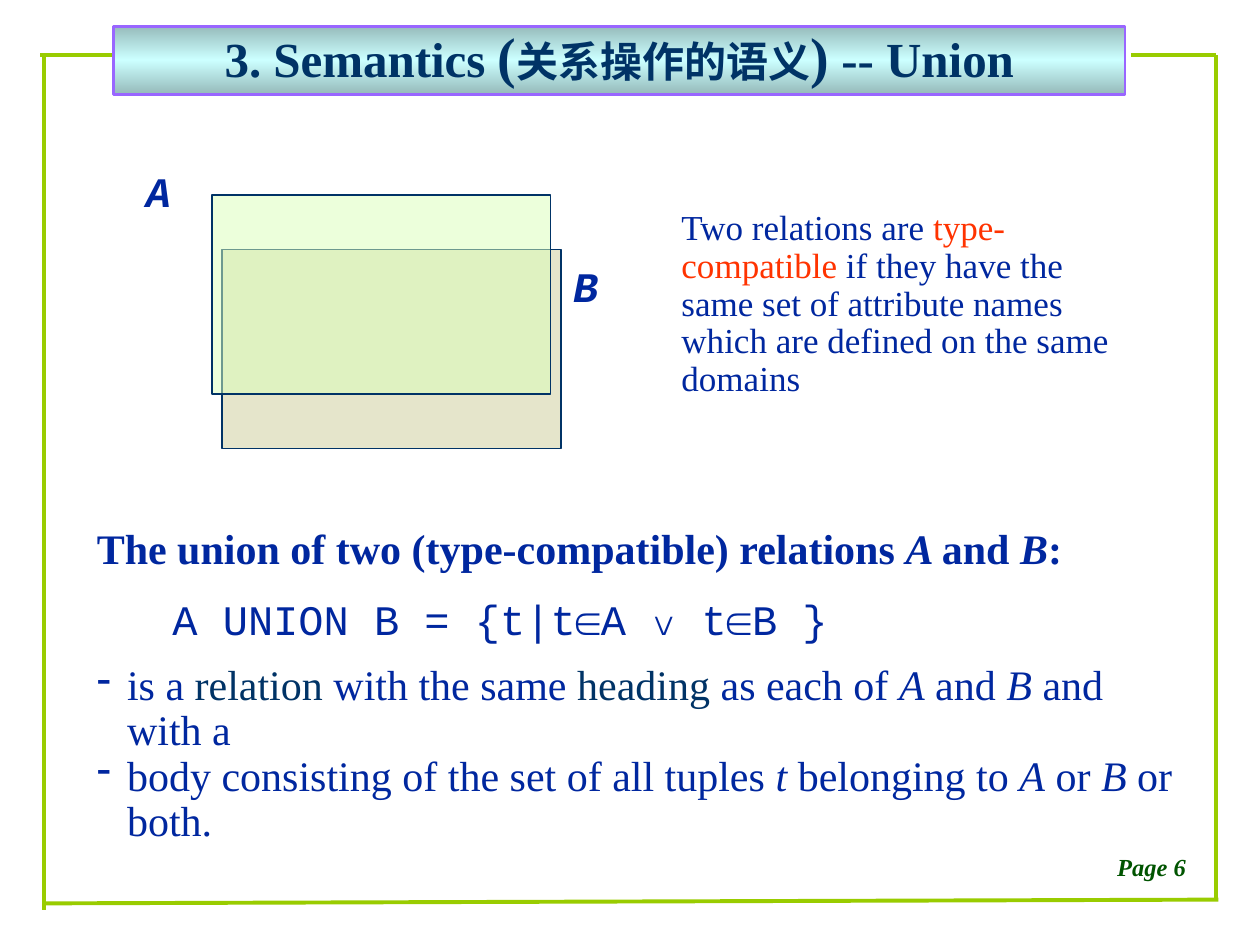
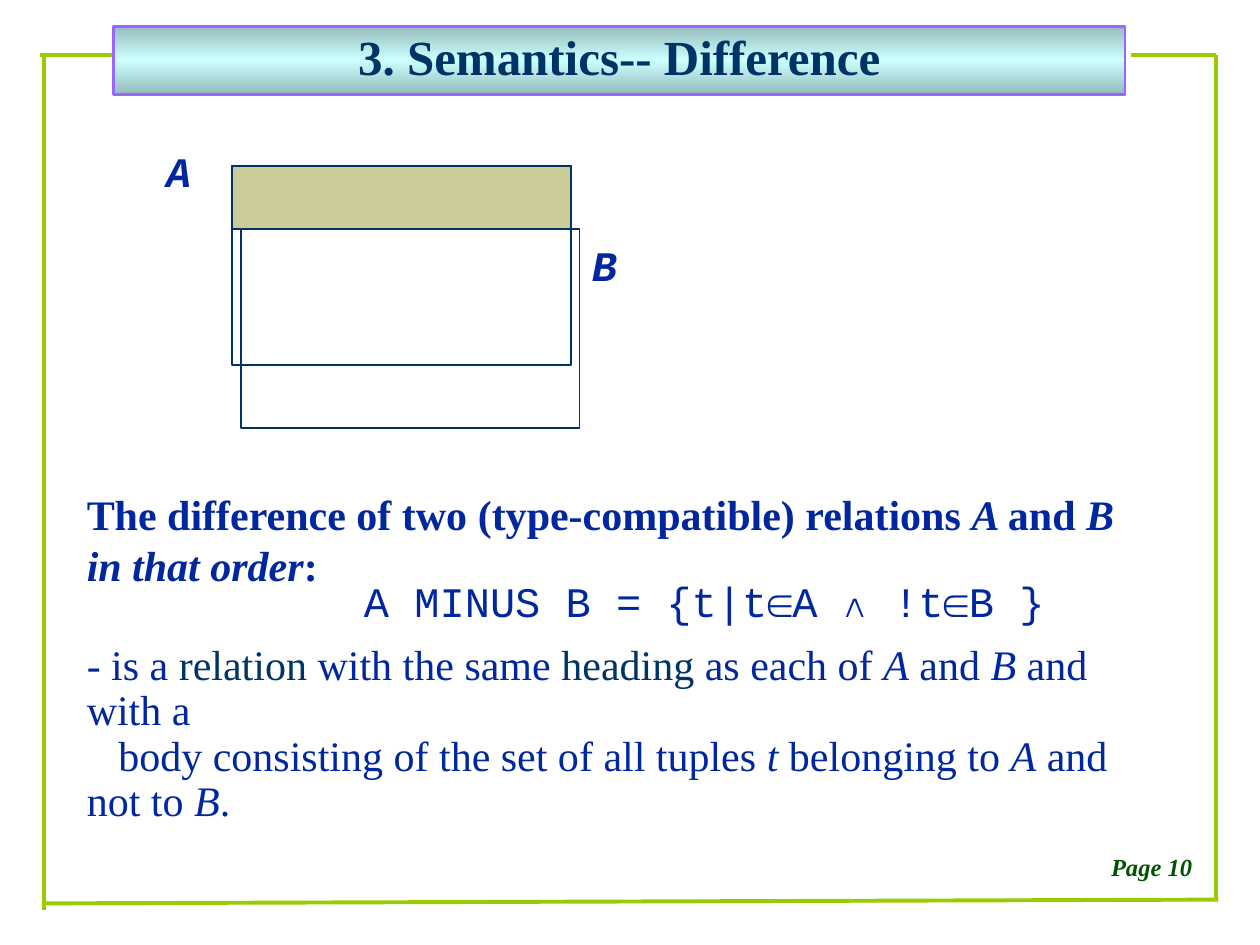
from copy import deepcopy

from lxml import etree
from pptx import Presentation
from pptx import util as u
from pptx.dml.color import RGBColor
from pptx.enum import shapes, text
from pptx.oxml.ns import qn

NAVY, BLUE, RED, PAGE_GREEN = "003366", "00279F", "FF3300", "005400"
FRAME_GREEN, VIOLET, KHAKI = "99CC00", "9966FF", "CCCC99"
PALE_GREEN, WHITE = "DBFFB8", "FFFFFF"
TITLE_GRADIENT = [(0, "96BBBB"), (0.5, "CCFFFF"), (1, "96BBBB")]
SERIF, MONO = "Times New Roman", "Courier New"

FRAME_LINES = [
    (0.9, 0.44, 0.32, 0.44),
    (0.35, 0.44, 0.35, 7.22),
    (0.35, 7.17, 9.67, 7.14),
    (9.65, 0.44, 9.65, 7.14),
    (9.65, 0.44, 8.98, 0.44),
]
RELATION_WIDTH, RELATION_HEIGHT = 2.69, 1.58

ITALIC = {"italic": True}
TERM = {"color": NAVY}
BODY = {"name": SERIF, "size": u.Pt(24), "color": BLUE}
HEADING = BODY | {"bold": True}
CODE = BODY | {"name": MONO}
LABEL = CODE | {"bold": True, "italic": True}
NOTE = BODY | {"size": u.Pt(20)}
TITLE = {"name": SERIF, "size": u.Pt(28), "bold": True, "color": NAVY}
BRACKET = {"size": u.Pt(32)}
PAGE = {"name": SERIF, "size": u.Pt(14), "bold": True, "italic": True, "color": PAGE_GREEN}

SAME_HEADING = [
    ("relation", TERM), (" with the same", {}), (" heading", TERM),
    (" as each of ", {}), ("A", ITALIC), (" and ", {}), ("B", ITALIC),
    (" and with a", {}),
]


def rgb(hex_color):
    return RGBColor.from_string(hex_color)


class Deck:
    """Holds the presentation, its shared style and the current slide."""

    def __init__(self):
        self.presentation = Presentation()
        self.presentation.slide_width = u.Inches(10)
        self.presentation.slide_height = u.Inches(7.5)
        self.slide = None

    def add_slide(self, title_runs, page):
        layout = self.presentation.slide_layouts[6]
        self.slide = self.presentation.slides.add_slide(layout)
        for ends in FRAME_LINES:
            self.line(*ends)
        self.text_box(8.39, 6.74, 1.5, 0.31, [dict(
            runs=[(f"Page {page}", {})], style=PAGE,
            alignment=text.PP_ALIGN.CENTER)], wrap=False)
        self.title(title_runs)

    def line(self, *ends):
        connector = self.slide.shapes.add_connector(
            shapes.MSO_CONNECTOR.STRAIGHT, *map(u.Inches, ends))
        connector.line.color.rgb = rgb(FRAME_GREEN)
        connector.line.width = u.Pt(2.25)
        etree.SubElement(connector.element.spPr, qn("a:effectLst"))

    def rectangle(self, left, top, width, height, fill=None, line=NAVY,
                  line_width=1, opacity=None):
        shape = self.slide.shapes.add_shape(
            shapes.MSO_SHAPE.RECTANGLE, *map(u.Inches, (left, top, width, height)))
        shape.shadow.inherit = False
        shape.line.color.rgb = rgb(line)
        shape.line.width = u.Pt(line_width)
        if fill:
            shape.fill.solid()
            shape.fill.fore_color.rgb = rgb(fill)
        else:
            shape.fill.background()
        if opacity:
            color = shape.element.spPr.find(qn("a:solidFill"))[0]
            etree.SubElement(color, qn("a:alpha"), val=str(opacity * 1000))
        return shape

    def relation(self, left, top, **look):
        self.rectangle(left, top, RELATION_WIDTH, RELATION_HEIGHT, **look)

    def label(self, name, left, top):
        self.text_box(left, top, 0.4, 0.46,
                      [dict(runs=[(name, {})], style=LABEL)], wrap=False)

    def title(self, runs):
        band = self.rectangle(0.9, 0.21, 8.03, 0.54, line=VIOLET, line_width=1.5)
        band.fill.gradient()
        band.fill.gradient_angle = 90
        stops = band.element.spPr.find(".//" + qn("a:gsLst"))
        stops.insert(1, deepcopy(stops[0]))
        for stop, (position, color) in zip(band.fill.gradient_stops, TITLE_GRADIENT):
            stop.position = position
            stop.color.rgb = rgb(color)
        frame = band.text_frame
        frame.word_wrap = True
        frame.vertical_anchor = text.MSO_ANCHOR.MIDDLE
        self.fill_frame(frame, [dict(runs=runs, style=TITLE, line_spacing=0.85,
                                     alignment=text.PP_ALIGN.CENTER)])

    def text_box(self, left, top, width, height, paragraphs, wrap=True):
        box = self.slide.shapes.add_textbox(
            *map(u.Inches, (left, top, width, height)))
        box.text_frame.word_wrap = wrap
        self.fill_frame(box.text_frame, paragraphs)

    def fill_frame(self, frame, paragraphs):
        for index, content in enumerate(paragraphs):
            paragraph = frame.add_paragraph() if index else frame.paragraphs[0]
            self.fill_paragraph(paragraph, **content)

    def fill_paragraph(self, paragraph, runs, style, indent=None, bullet=None,
                       **formats):
        """Indent is a pair of inches: left margin and first-line offset."""
        for name, value in ({"line_spacing": 0.9} | formats).items():
            setattr(paragraph, name, value)
        properties = paragraph._p.get_or_add_pPr()
        if indent:
            for name, inches in zip(("marL", "indent"), indent):
                properties.set(name, str(u.Inches(inches)))
        if bullet:
            color = etree.SubElement(properties, qn("a:buClr"))
            etree.SubElement(color, qn("a:srgbClr"), val=BLUE)
            etree.SubElement(properties, qn("a:buChar"), char=bullet)
        for words, changes in runs:
            run = paragraph.add_run()
            run.text = words
            for name, value in (style | changes).items():
                if name == "color":
                    run.font.color.rgb = rgb(value)
                else:
                    setattr(run.font, name, value)


def add_union(deck):
    deck.add_slide([("3. Semantics ", {}), ("(", BRACKET),
                    ("关系操作的语义", {"size": u.Pt(24)}), (")", BRACKET),
                    (" -- Union", {})], page=6)
    item = dict(style=BODY, indent=(0.24, -0.24), bullet="-")
    deck.text_box(0.67, 4.14, 8.77, 2.62, [
        dict(style=HEADING, runs=[
            ("The union of two (type-compatible) relations ", {}),
            ("A ", ITALIC), ("and ", {}), ("B", ITALIC), (":", {})]),
        dict(style=CODE, indent=(0.6, 0), space_before=u.Pt(15),
             runs=[("A UNION B = {t|t∈A ∨ t∈B }", {})]),
        dict(item, space_before=u.Pt(11), runs=[("is a ", {}), *SAME_HEADING]),
        dict(item, runs=[
            ("body consisting of the set of all tuples ", {}), ("t", ITALIC),
            (" belonging to ", {}), ("A", ITALIC), (" or ", {}),
            ("B", ITALIC), (" or both.", {})]),
    ])
    deck.text_box(5.31, 1.62, 3.62, 1.6, [dict(style=NOTE, runs=[
        ("Two relations are", {}), (" type-compatible", {"color": RED}),
        (" if they have the same set of attribute names"
         " which are defined on the same domains", {})])])
    deck.label("A", 1.06, 1.31)
    deck.label("B", 4.45, 2.06)
    deck.relation(1.76, 1.98, fill=KHAKI, opacity=50)
    deck.relation(1.68, 1.55, fill=PALE_GREEN, opacity=50)


def add_difference(deck):
    deck.add_slide([("3. Semantics-- Difference", {})], page=10)
    deck.text_box(0.59, 3.83, 8.58, 2.78, [
        dict(style=HEADING, line_spacing=1.0, runs=[
            ("The difference of two (type-compatible) relations ", {}),
            ("A ", ITALIC), ("and ", {}), ("B in that order", ITALIC), (":", {})]),
        dict(style=CODE, indent=(2.2, 0), line_spacing=0.7,
             runs=[("A MINUS B = {t|t∈A ∧ !t∈B }", {})]),
        dict(style=BODY, space_before=u.Pt(11),
             runs=[("- is a ", {}), *SAME_HEADING]),
        dict(style=BODY, indent=(0, 0.25), runs=[
            ("body consisting of the set of all tuples ", {}), ("t", ITALIC),
            (" belonging to ", {}), ("A", ITALIC), (" and not to ", {}),
            ("B", ITALIC), (".", {})]),
    ])
    deck.label("A", 1.22, 1.15)
    deck.relation(1.84, 1.32, fill=WHITE)
    deck.label("B", 4.6, 1.9)
    deck.relation(1.91, 1.82)
    deck.rectangle(1.84, 1.32, RELATION_WIDTH, 0.5, fill=KHAKI)


def main():
    deck = Deck()
    add_union(deck)
    add_difference(deck)
    deck.presentation.save("out.pptx")


if __name__ == "__main__":
    main()
